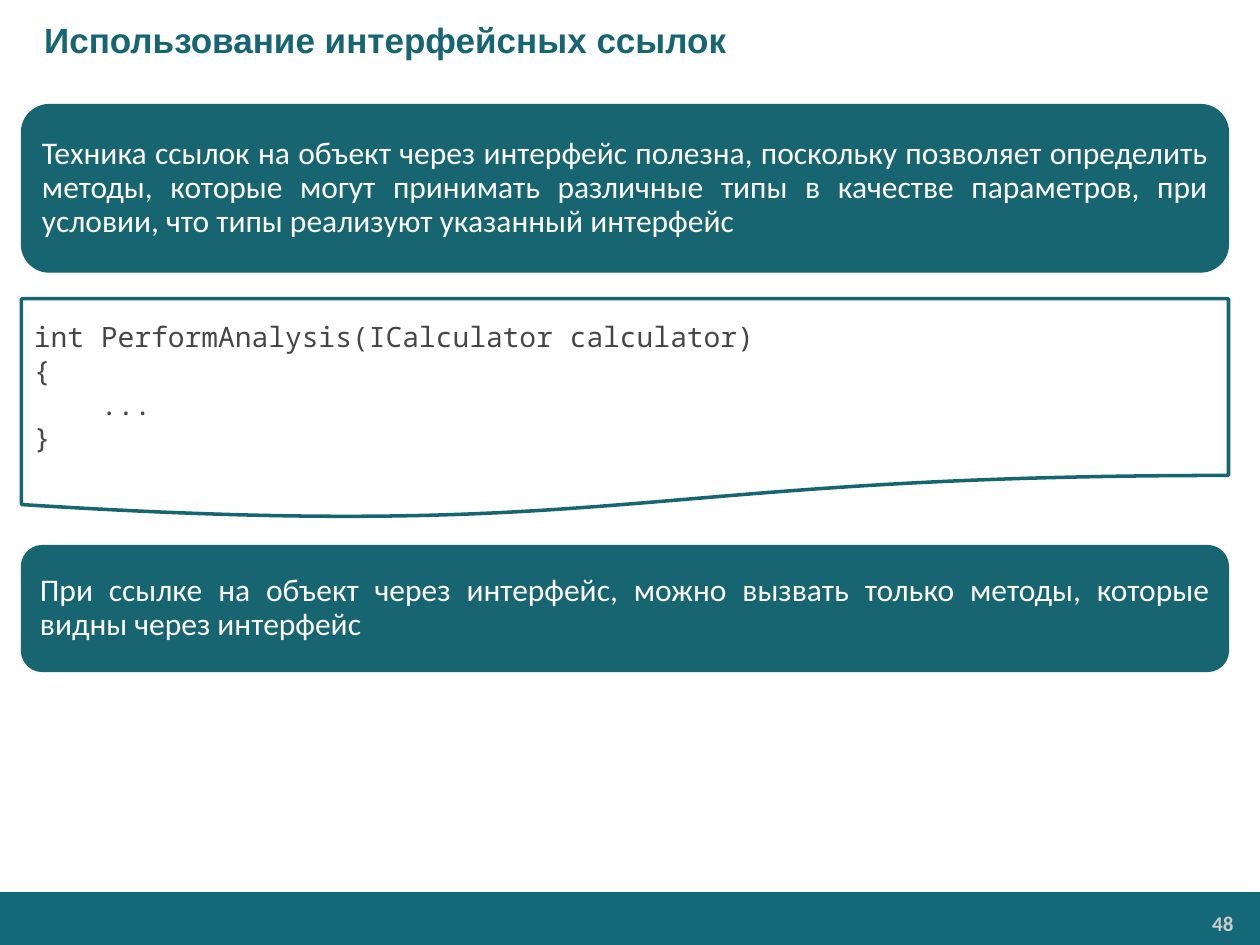
from dataclasses import dataclass

from pptx import Presentation
from pptx.dml.color import RGBColor
from pptx.enum.shapes import MSO_SHAPE as Shape
from pptx.enum.text import MSO_ANCHOR as Anchor, PP_ALIGN as Align
from pptx.util import Inches, Pt


@dataclass(frozen=True)
class Theme:
    teal = RGBColor.from_string("176571")
    footer = RGBColor.from_string("146878")
    white = RGBColor.from_string("FFFFFF")
    code = RGBColor.from_string("464547")
    number = RGBColor.from_string("CCCCCC")
    title_size = Pt(20)
    body_size = Pt(18)
    code_size = Pt(16)
    number_size = Pt(12)


theme = Theme()


def add_panel(kind, left, top, width, height, fill, line_width=None):
    """Add a flat shape, outlined in teal when a line width is given."""
    panel = page.shapes.add_shape(
        kind, Inches(left), Inches(top), Inches(width), Inches(height))
    panel.shadow.inherit = False
    panel.fill.solid()
    panel.fill.fore_color.rgb = fill
    if line_width is None:
        panel.line.fill.background()
    else:
        panel.line.color.rgb = theme.teal
        panel.line.width = Pt(line_width)
    panel.text_frame.word_wrap = True
    panel.text_frame.vertical_anchor = Anchor.MIDDLE
    return panel


def style(para, name, size, color, align=Align.LEFT, bold=False):
    para.alignment = align
    para.font.name = name
    para.font.size = size
    para.font.color.rgb = color
    para.font.bold = bold


deck = Presentation()
deck.slide_width, deck.slide_height = Inches(10), Inches(7.5)
page = deck.slides.add_slide(deck.slide_layouts[5])

# Footer with the page number
add_panel(Shape.RECTANGLE, 0, 7.08, 10, 0.42, theme.footer)
number = page.shapes.add_textbox(
    Inches(8.23), Inches(7.19), Inches(1.63), Inches(0.28)).text_frame
number.word_wrap = True
number.margin_left = number.margin_right = Inches(0.07)
number.margin_top = number.margin_bottom = Inches(0.04)
number.text = "48"
style(number.paragraphs[0], "Calibri", theme.number_size, theme.number,
      Align.RIGHT, bold=True)

# Title
title = page.shapes.title
title.left, title.top = Inches(0), Inches(0)
title.width, title.height = Inches(10), Inches(0.63)
title.text_frame.vertical_anchor = Anchor.MIDDLE
title.text_frame.margin_left = Inches(0.35)
title.text_frame.text = "Использование интерфейсных ссылок"
style(title.text_frame.paragraphs[0], "Arial", theme.title_size, theme.teal,
      bold=True)

# Code sample
code_lines = [
    "int PerformAnalysis(ICalculator calculator)",
    "{",
    "    ...",
    "}",
]
sample = add_panel(Shape.FLOWCHART_DOCUMENT, 0.17, 2.37, 9.58, 1.75,
                   theme.white, 2)
sample.text_frame.text = "\n".join(code_lines)
for para in sample.text_frame.paragraphs:
    style(para, "Noto Sans Mono", theme.code_size, theme.code)

# Explanations above and below the code
explanations = [
    (0.83, 1.33, "Техника ссылок на объект через интерфейс полезна, поскольку "
     "позволяет определить методы, которые могут принимать различные типы "
     "в качестве параметров, при условии, что типы реализуют указанный "
     "интерфейс"),
    (4.33, 1, "При ссылке на объект через интерфейс, можно вызвать только "
     "методы, которые видны через интерфейс"),
]
for top, height, text in explanations:
    box = add_panel(Shape.ROUNDED_RECTANGLE, 0.17, top, 9.58, height,
                    theme.teal, 0.75)
    box.text_frame.text = text
    para = box.text_frame.paragraphs[0]
    para.line_spacing = 0.9
    style(para, "Calibri", theme.body_size, theme.white, Align.JUSTIFY)

deck.save("out.pptx")
